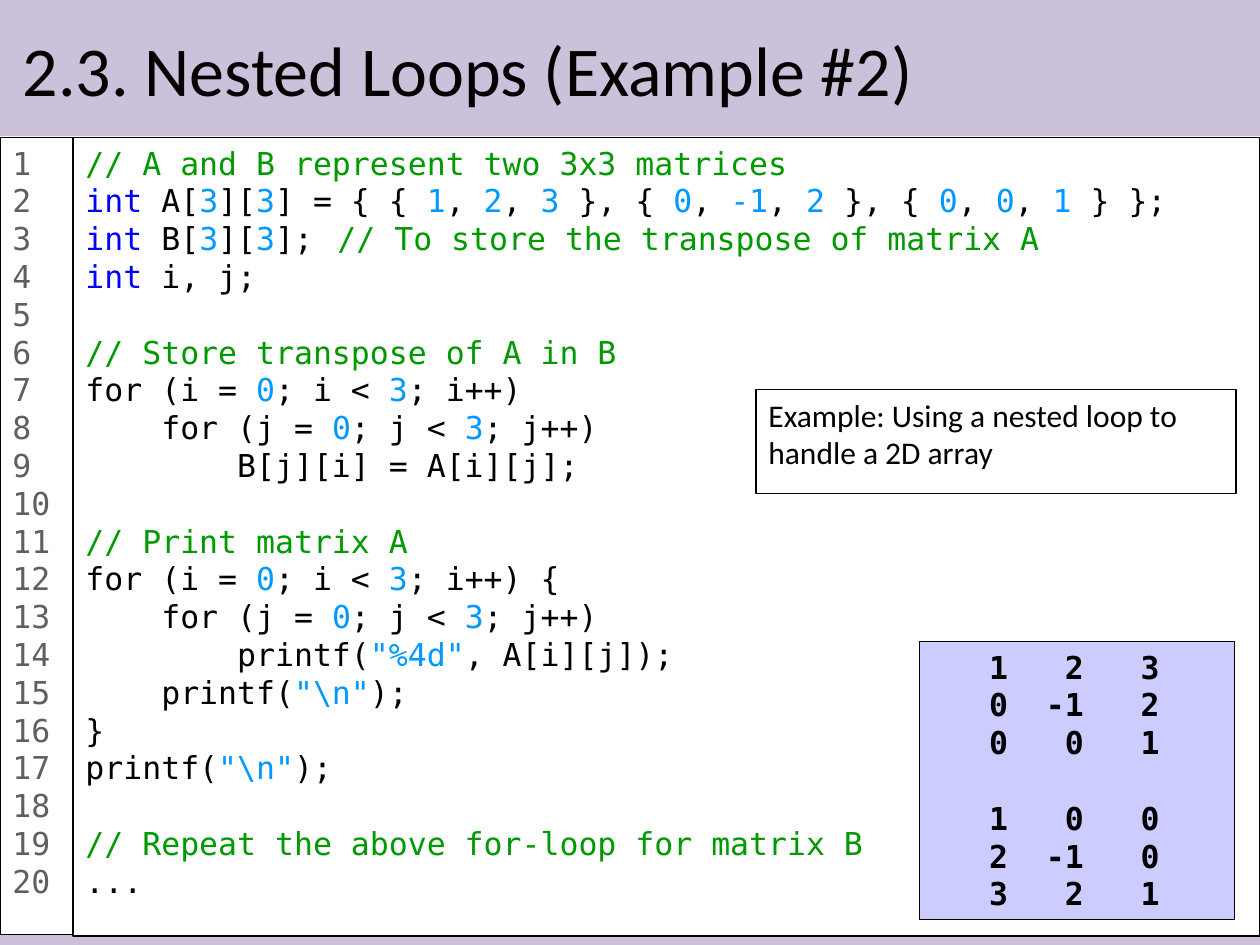
import itertools

import pptx
import pptx.dml.color
import pptx.enum.shapes
import pptx.enum.text
import pptx.oxml.ns
import pptx.util
from lxml import etree

Inches = pptx.util.Inches
RGBColor = pptx.dml.color.RGBColor

BLACK = RGBColor(0x00, 0x00, 0x00)
WHITE = RGBColor(0xFF, 0xFF, 0xFF)
LILAC = RGBColor(0xCC, 0xC1, 0xDA)
LAVENDER = RGBColor(0xCC, 0xCC, 0xFF)
COMMENT_GREEN = RGBColor(0x00, 0x99, 0x00)
KEYWORD_BLUE = RGBColor(0x00, 0x00, 0xFF)
LITERAL_BLUE = RGBColor(0x00, 0x99, 0xFF)
NUMBER_GRAY = RGBColor(0x5F, 0x5F, 0x5F)

BODY_FONT = "Calibri"
CODE_FONT = "DejaVu Sans Mono"

CODE = r"""// A and B represent two 3x3 matrices
int A[3][3] = { { 1, 2, 3 }, { 0, -1, 2 }, { 0, 0, 1 } };
int B[3][3];<TAB>// To store the transpose of matrix A
int i, j;

// Store transpose of A in B
for (i = 0; i < 3; i++)
    for (j = 0; j < 3; j++)
        B[j][i] = A[i][j];

// Print matrix A
for (i = 0; i < 3; i++) {
    for (j = 0; j < 3; j++)
        printf("%4d", A[i][j]);
    printf("\n");
}
printf("\n");

// Repeat the above for-loop for matrix B
...""".replace("<TAB>", "\t").split("\n")

OUTPUT = """   1   2   3
   0  -1   2
   0   0   1

   1   0   0
   2  -1   0
   3   2   1""".split("\n")


def highlight(line):
    """Split a line of C into (text, colour) pairs."""
    code, slashes, comment = line.partition("//")
    tokens = []
    if code.startswith("int "):
        tokens.append(("int", KEYWORD_BLUE))
        code = code[3:]
    for i, part in enumerate(code.split('"')):
        if i % 2:
            tokens.append((f'"{part}"', LITERAL_BLUE))
            continue
        for is_number, chars in itertools.groupby(part, lambda c: c in "-0123456789"):
            tokens.append(("".join(chars), LITERAL_BLUE if is_number else BLACK))
    if slashes:
        tokens.append((slashes + comment, COMMENT_GREEN))
    return tokens


def add_run(p, text, size=18, font=BODY_FONT, color=BLACK, bold=False):
    r = p.add_run()
    r.text = text
    r.font.size = pptx.util.Pt(size)
    r.font.name = font
    r.font.color.rgb = color
    r.font.bold = bold


def size_blank_line(p, size=18, font=CODE_FONT):
    """Give an empty code line the height of the lines around it."""
    end = p._p.get_or_add_endParaRPr()
    end.set("sz", str(size * 100))
    etree.SubElement(end, pptx.oxml.ns.qn("a:latin")).set("typeface", font)


def add_rect(slide, left, top, width, height, fill=None, outlined=True):
    sp = slide.shapes.add_shape(
        pptx.enum.shapes.MSO_SHAPE.RECTANGLE,
        Inches(left), Inches(top), Inches(width), Inches(height))
    sp.shadow.inherit = False
    if fill is None:
        sp.fill.background()
    else:
        sp.fill.solid()
        sp.fill.fore_color.rgb = fill
    if outlined:
        sp.line.color.rgb = BLACK
        sp.line.width = pptx.util.Pt(0.75)
    else:
        sp.line.fill.background()
    return sp


def write_lines(sp, lines, **fmt):
    """Fill a shape; each line is a list of (text, colour) pairs."""
    tf = sp.text_frame
    tf.word_wrap = True
    tf.vertical_anchor = pptx.enum.text.MSO_ANCHOR.TOP
    for i, tokens in enumerate(lines):
        p = tf.add_paragraph() if i else tf.paragraphs[0]
        p.alignment = pptx.enum.text.PP_ALIGN.LEFT
        for text, color in tokens:
            add_run(p, text, color=color, **fmt)
        if not tokens:
            size_blank_line(p)


def add_band(slide, top, height):
    """Put a coloured band into the layout, behind the placeholders."""
    band = add_rect(slide, 0, top, 10, height, LILAC, outlined=False)
    slide.slide_layout.shapes._spTree.insert(2, band._element)


def set_title(slide, text):
    title = slide.shapes.title
    title.left, title.top = Inches(0.08), Inches(0.08)
    title.width, title.height = Inches(9), Inches(0.92)
    tf = title.text_frame
    tf.vertical_anchor = pptx.enum.text.MSO_ANCHOR.MIDDLE
    p = tf.paragraphs[0]
    p.alignment = pptx.enum.text.PP_ALIGN.LEFT
    add_run(p, text, size=40)


def main():
    prs = pptx.Presentation()
    prs.slide_width, prs.slide_height = Inches(10), Inches(7.5)
    slide = prs.slides.add_slide(prs.slide_layouts[5])

    add_band(slide, 0, 1.08)
    add_band(slide, 6.83, 0.67)
    set_title(slide, "2.3. Nested Loops (Example #2)")

    listing = add_rect(slide, 0.58, 1.09, 9.42, 6.34, WHITE)
    write_lines(listing, [highlight(line) for line in CODE], font=CODE_FONT)

    gutter = add_rect(slide, 0, 1.09, 0.58, 6.33, WHITE)
    gutter.text_frame.margin_right = 0
    numbers = [[(str(n), NUMBER_GRAY)] for n in range(1, len(CODE) + 1)]
    write_lines(gutter, numbers, font=CODE_FONT)

    output = add_rect(slide, 7.3, 5.09, 2.5, 2.21, LAVENDER)
    rows = [[(line, BLACK)] if line else [] for line in OUTPUT]
    write_lines(output, rows, font=CODE_FONT, bold=True)

    note = add_rect(slide, 6, 3.09, 3.81, 0.83)
    write_lines(note, [[("Example: Using a nested loop to handle a 2D array", BLACK)]])

    prs.save("out.pptx")


if __name__ == "__main__":
    main()
